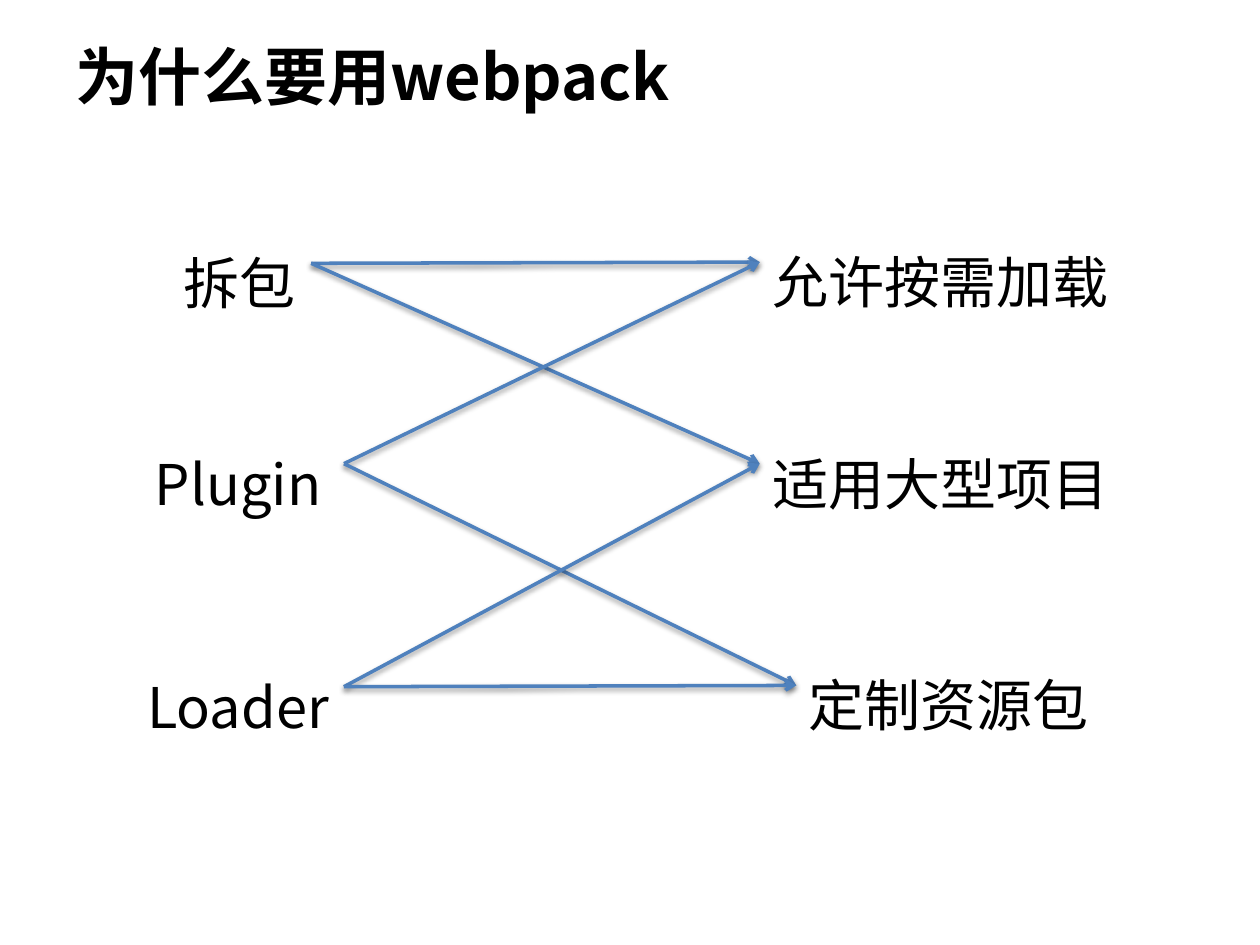
import pptx
import pptx.util
import pptx.dml.color
import pptx.enum.shapes
import pptx.enum.text
import pptx.oxml
import pptx.oxml.ns
from dataclasses import dataclass
from lxml import etree

Inches = pptx.util.Inches
Pt = pptx.util.Pt
RGB = pptx.dml.color.RGBColor
Align = pptx.enum.text.PP_ALIGN
Anchor = pptx.enum.text.MSO_ANCHOR
qn = pptx.oxml.ns.qn


@dataclass(frozen=True)
class Theme:
    font: str = "Noto Sans CJK SC"
    ink: RGB = RGB(0x00, 0x00, 0x00)
    line: RGB = RGB(0x4F, 0x81, 0xBD)
    title: int = 36
    label: int = 32
    stroke: int = 2


THEME = Theme()
LABEL_H = 0.86

# Labels: text, left, top, width
CAUSES = [
    ("拆包", 1.33, 1.66, 1.14),
    ("Plugin", 1.05, 3.25, 1.68),
    ("Loader", 1.05, 5.02, 1.68),
]
GAINS = [
    ("允许按需加载", 6.03, 1.65, 3.1),
    ("适用大型项目", 6.03, 3.25, 2.94),
    ("定制资源包", 6.32, 5.01, 2.54),
]
# Arrows: row of the cause, row of the gain
LINKS = [(0, 0), (0, 1), (1, 0), (1, 2), (2, 1), (2, 2)]

SHADOW = (
    '<a:effectLst xmlns:a="http://schemas.openxmlformats.org/drawingml/2006/main">'
    '<a:outerShdw blurRad="40000" dist="20000" dir="5400000" rotWithShape="0">'
    '<a:srgbClr val="000000"><a:alpha val="38000"/></a:srgbClr>'
    '</a:outerShdw></a:effectLst>'
)


def style(para, size, bold=False):
    for run in para.runs:
        font = run.font
        font.name = THEME.font
        font.size = Pt(size)
        font.bold = bold
        font.color.rgb = THEME.ink
        # Chinese text takes the East Asian typeface
        east = etree.SubElement(font._element, qn("a:ea"))
        east.set("typeface", THEME.font)


def add_title(slide, text):
    title = slide.shapes.title
    title.left, title.top = Inches(0.5), Inches(0.21)
    title.width, title.height = Inches(9), Inches(0.78)
    frame = title.text_frame
    frame.text = text
    frame.vertical_anchor = Anchor.MIDDLE
    para = frame.paragraphs[0]
    para.alignment = Align.LEFT
    style(para, THEME.title, bold=True)


def add_label(slide, text, left, top, width, align):
    box = slide.shapes.add_textbox(
        Inches(left), Inches(top), Inches(width), Inches(LABEL_H))
    frame = box.text_frame
    frame.text = text
    frame.word_wrap = True
    frame.auto_size = pptx.enum.text.MSO_AUTO_SIZE.SHAPE_TO_FIT_TEXT
    para = frame.paragraphs[0]
    para.alignment = align
    para.line_spacing = 1.5
    style(para, THEME.label)
    return box


def add_arrow(slide, cause, gain):
    arrow = slide.shapes.add_connector(
        pptx.enum.shapes.MSO_CONNECTOR.STRAIGHT, 0, 0, 0, 0)
    arrow.begin_connect(cause, 3)
    arrow.end_connect(gain, 1)
    arrow.line.color.rgb = THEME.line
    arrow.line.width = Pt(THEME.stroke)
    # Arrowhead and soft shadow
    tail = etree.SubElement(arrow.line._get_or_add_ln(), qn("a:tailEnd"))
    tail.set("type", "arrow")
    arrow._element.spPr.append(pptx.oxml.parse_xml(SHADOW))


def main():
    deck = pptx.Presentation()
    deck.slide_width, deck.slide_height = Inches(10), Inches(7.5)
    slide = deck.slides.add_slide(deck.slide_layouts[5])

    add_title(slide, "为什么要用webpack")

    # Two columns of labels
    causes = [add_label(slide, *row, Align.CENTER) for row in CAUSES]
    gains = [add_label(slide, *row, Align.LEFT) for row in GAINS]

    # Arrows between the columns
    for start, end in LINKS:
        add_arrow(slide, causes[start], gains[end])

    deck.save("out.pptx")


if __name__ == "__main__":
    main()
